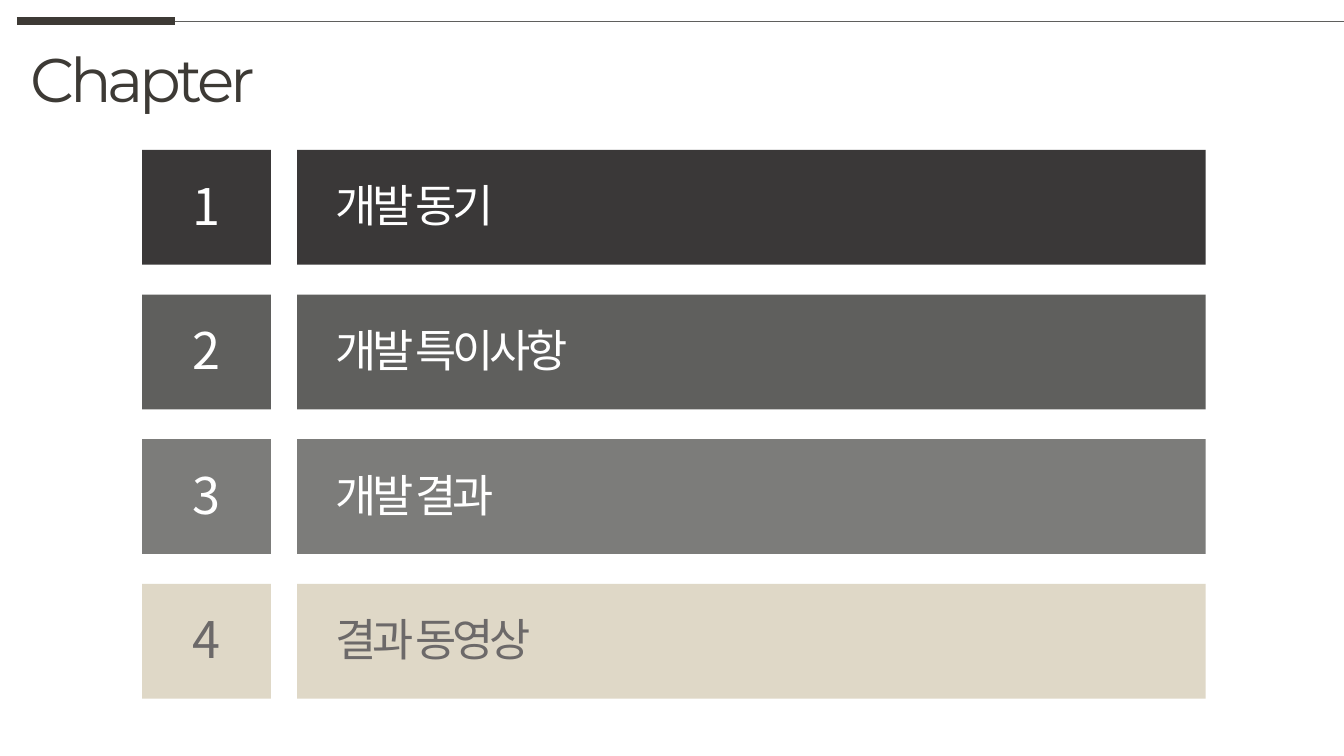
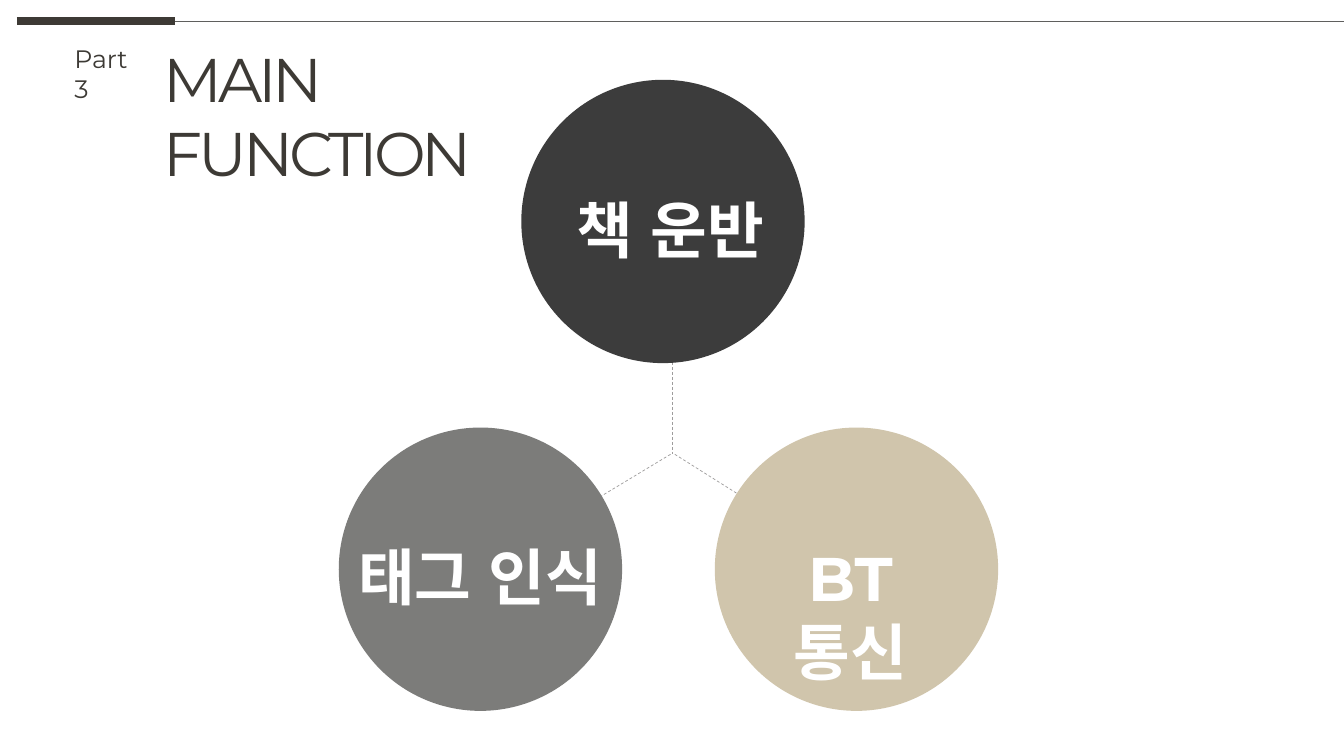
from lxml.etree import SubElement
from pptx import Presentation
from pptx.dml.color import RGBColor
from pptx.enum.dml import MSO_LINE as Dash
from pptx.enum.shapes import MSO_CONNECTOR as Link, MSO_SHAPE as Preset
from pptx.enum.text import MSO_ANCHOR as Anchor, PP_ALIGN as Align
from pptx.oxml.ns import qn
from pptx.util import Pt

LATIN, KOREAN = "Montserrat", "Noto Sans CJK KR"
INK, RULE, WHITE, GREY = "3D3A35", "5F5F5D", "FFFFFF", "7C7C7A"


def color(code):
    """Turn a hex string into a colour."""
    return RGBColor.from_string(code)


def write(frame, words, size=44, font=LATIN, ink=INK, bold=False,
          spacing=0, align=Align.LEFT, anchor=Anchor.TOP, indent=7.2):
    """Write one formatted paragraph into a text frame."""
    frame.word_wrap = True
    frame.vertical_anchor = anchor
    frame.margin_left = Pt(indent)
    paragraph = frame.paragraphs[0]
    paragraph.alignment = align
    run = paragraph.add_run()
    run.text = words
    run.font.size, run.font.bold, run.font.name = Pt(size), bold, font
    run.font.color.rgb = color(ink)
    properties = run.font._element
    properties.set("spc", str(spacing * 100))
    SubElement(properties, qn("a:ea")).set("typeface", font)


class Deck:
    """Hold the shared style and the current slide."""

    def __init__(self):
        """Start an empty widescreen presentation."""
        self.show = Presentation()
        self.show.slide_width, self.show.slide_height = Pt(960), Pt(540)

    def page(self, title, left):
        """Add a slide with the header rule and a title."""
        self.slide = self.show.slides.add_slide(self.show.slide_layouts[6])
        self.line(12, 15, 125, 15, INK, 6)
        self.line(125, 15, 960, 15, RULE)
        self.text(title, left, 25.5, 288, 60, spacing=-3)

    def line(self, x1, y1, x2, y2, ink, weight=0.5, dash=None):
        """Draw a straight line."""
        line = self.slide.shapes.add_connector(
            Link.STRAIGHT, Pt(x1), Pt(y1), Pt(x2), Pt(y2))
        line.line.color.rgb = color(ink)
        line.line.width = Pt(weight)
        if dash:
            line.line.dash_style = dash
        SubElement(line._element.spPr, qn("a:effectLst"))

    def shape(self, preset, left, top, width, height, fill):
        """Draw a filled shape and return its text frame."""
        shape = self.slide.shapes.add_shape(
            preset, Pt(left), Pt(top), Pt(width), Pt(height))
        shape.shadow.inherit = False
        shape.fill.solid()
        shape.fill.fore_color.rgb = color(fill)
        shape.line.fill.background()
        return shape.text_frame

    def text(self, words, left, top, width, height, **style):
        """Place a text box."""
        box = self.slide.shapes.add_textbox(
            Pt(left), Pt(top), Pt(width), Pt(height))
        write(box.text_frame, words, **style)

    def bar(self, left, top, width, fill, words, **style):
        """Draw one block of a chapter row."""
        frame = self.shape(Preset.RECTANGLE, left, top, width, 82, fill)
        frame.margin_bottom = Pt(7)
        write(frame, words, font=KOREAN, spacing=-3,
              anchor=Anchor.MIDDLE, **style)


def chapters(deck):
    """Build the chapter list."""
    deck.page("Chapter", 14.5)
    rows = [("개발 동기", "3A3838", WHITE), ("개발 특이사항", RULE, WHITE),
            ("개발 결과", GREY, WHITE), ("결과 동영상", "DFD8C7", "6C6969")]
    for index, (chapter, fill, ink) in enumerate(rows):
        top = 107.1 + index * 103.3
        deck.bar(101.5, top, 92, fill, str(index + 1), size=36, ink=ink,
                 align=Align.CENTER)
        deck.bar(212.2, top, 649, fill, chapter, size=32, ink=ink,
                 indent=27.5)


def functions(deck):
    """Build the diagram of the main functions."""
    deck.page("MAIN FUNCTION", 110)
    deck.text("Part 3", 46, 27.5, 59, 29, size=18)
    for spoke in [(480, 230, 480, 324), (479, 324.5, 377, 386),
                  (482, 324.5, 567, 378)]:
        deck.line(*spoke, "9E9C9C", dash=Dash.DASH)
    diameter = 202.4
    circles = [("태그 인식", 242, 305.4, GREY, 242, 381.6, 202.4),
               ("책 운반", 372.4, 57, "3C3C3C", 400, 133.2, 158),
               ("BT 통신", 510.6, 305.4, "D0C5AC", 535, 382.3, 145)]
    for name, left, top, fill, text_left, text_top, text_width in circles:
        deck.shape(Preset.OVAL, left, top, diameter, diameter, fill)
        deck.text(name, text_left, text_top, text_width, 60, ink=WHITE,
                  bold=True, align=Align.CENTER)


def main():
    """Build and save the presentation."""
    deck = Deck()
    chapters(deck)
    functions(deck)
    deck.show.save("out.pptx")


if __name__ == "__main__":
    main()
